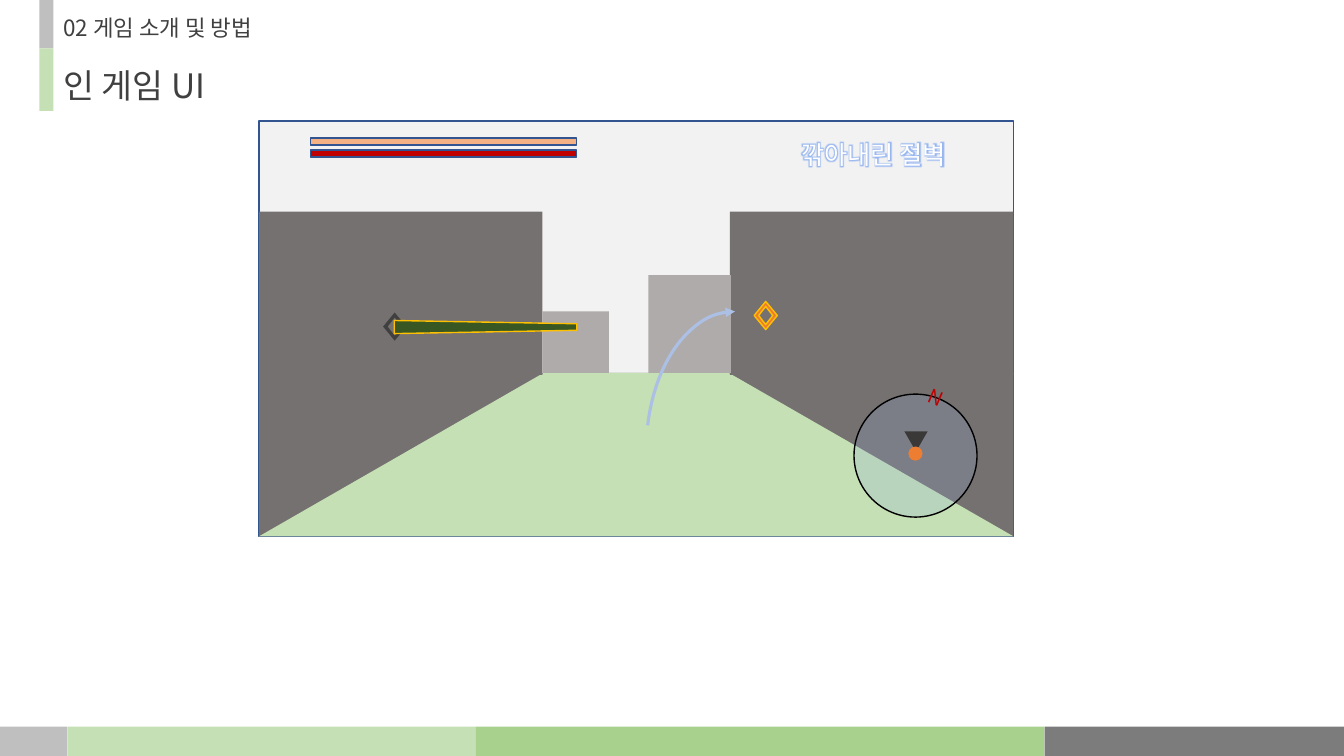
import pptx
import pptx.util
import pptx.dml.color
import pptx.enum.shapes
import pptx.enum.text
import pptx.oxml
import pptx.oxml.ns

Inches = pptx.util.Inches
Kind = pptx.enum.shapes.MSO_SHAPE
Align = pptx.enum.text.PP_ALIGN
FACE = "Noto Sans CJK KR"
NS = pptx.oxml.ns.nsdecls("a")


def paint(fill, tint):
    fill.solid()
    fill.fore_color.rgb = pptx.dml.color.RGBColor.from_string(tint)


def write(box, text, place, size, tint, align=Align.LEFT, side=0.1):
    spots = dict(zip(("left", "top", "width", "height"), map(Inches, place)))
    for key, val in spots.items():
        setattr(box, key, val)
    frame = box.text_frame
    look = {"word_wrap": True, "auto_size": pptx.enum.text.MSO_AUTO_SIZE.NONE,
            "vertical_anchor": pptx.enum.text.MSO_ANCHOR.TOP,
            "margin_left": Inches(side), "margin_right": Inches(side),
            "margin_top": Inches(0.05), "margin_bottom": Inches(0.05)}
    for key, val in look.items():
        setattr(frame, key, val)
    para = frame.paragraphs[0]
    para.alignment = align
    run = para.add_run()
    run.text = text
    for key, val in {"name": FACE, "size": pptx.util.Pt(size)}.items():
        setattr(run.font, key, val)
    paint(run.font.fill, tint)
    props = run.font._element
    props.append(pptx.oxml.parse_xml(f'<a:ea {NS} typeface="{FACE}"/>'))
    return props


deck = pptx.Presentation()
deck.slide_width, deck.slide_height = Inches(13.33), Inches(7.5)
slide = deck.slides.add_slide(deck.slide_layouts[5])
shapes = slide.shapes

# Headings
write(shapes.title, "인 게임 UI", (0.53, 0.59, 1.78, 0.5), 24, "404040")
head = shapes.add_textbox(0, 0, 0, 0)
write(head, "02 게임 소개 및 방법", (0.53, 0.09, 2.34, 0.37), 16, "404040")

# Side tabs and footer band: left, top, width, height, fill
bands = [(0.39, 0, 0.14, 0.48, "BFBFBF"), (0.39, 0.48, 0.14, 0.62, "C5E0B4")]
left = 0
for wide, tint in ((0.67, "BFBFBF"), (4.05, "C5E0B4"),
                   (5.64, "A9D18E"), (2.98, "7C7C7C")):
    bands.append((left, 7.21, wide, 0.3, tint))
    left += wide

# Game view, back to front: kind, left, top, width, height, fill, line
EDGE, GOLD = "325491", "FFC000"
RING = None
parts = [(Kind.RECTANGLE, *band, None) for band in bands] + [
    (Kind.RECTANGLE, 2.57, 1.2, 7.48, 4.12, "F2F2F2", EDGE),
    (Kind.RECTANGLE, 2.57, 3.7, 7.48, 1.62, "767171", None),
    (Kind.TRAPEZOID, 2.57, 3.7, 7.48, 1.62, "C5E0B4", None),
    (Kind.RECTANGLE, 3.08, 1.37, 2.64, 0.07, "F4B183", EDGE),
    (Kind.RECTANGLE, 3.08, 1.49, 2.64, 0.07, "C00000", EDGE),
    (Kind.RECTANGLE, 2.57, 2.1, 2.81, 1.62, "767171", None),
    (Kind.RECTANGLE, 7.24, 2.1, 2.81, 1.62, "767171", None),
    (Kind.RECTANGLE, 6.43, 2.73, 0.82, 0.97, "AFABAB", None),
    (Kind.RECTANGLE, 5.38, 3.09, 0.66, 0.61, "AFABAB", None),
    (RING, 7.48, 2.99, 0.23, 0.28, "ED7D31", GOLD),
    (Kind.ARC, 6.41, 3.09, 1.76, 2.75, None, "ABC0E4"),
    (RING, 3.8, 3.1, 0.23, 0.28, "404040", None),
    (Kind.TRAPEZOID, 4.75, 2.34, 0.13, 1.81, "385723", GOLD),
    (Kind.OVAL, 8.47, 3.91, 1.22, 1.22, "8FAADC", "000000"),
    (Kind.ISOSCELES_TRIANGLE, 8.97, 4.28, 0.23, 0.2, "3B3838", None),
    (Kind.OVAL, 9.01, 4.43, 0.14, 0.14, "ED7D31", None),
]
for kind, left, top, wide, high, tint, line in parts:
    if kind is RING:
        # Diamond with a diamond hole
        midx, midy = left + wide / 2, top + high / 2
        path = None
        for dx, dy in ((wide / 2, high / 2), (-0.07, 0.09)):
            pts = [(Inches(midx + x), Inches(midy + y))
                   for x, y in ((0, -dy), (dx, 0), (0, dy), (-dx, 0))]
            if path is None:
                path = shapes.build_freeform(*pts[0])
            else:
                path.move_to(*pts[0])
            path.add_line_segments(pts[1:], close=True)
        shape = path.convert_to_shape()
    else:
        shape = shapes.add_shape(kind, *map(Inches, (left, top, wide, high)))
    shape.shadow.inherit = False
    if tint:
        paint(shape.fill, tint)
    else:
        shape.fill.background()
    if line:
        paint(shape.line.fill, line)
        shape.line.width = pptx.util.Pt(2.25 if kind == Kind.ARC else 1)
    else:
        shape.line.fill.background()

    # Floor, beam, needle, arrow and glass dial
    if kind == Kind.TRAPEZOID and wide > high:
        shape.adjustments[0] = 1.741
    elif kind == Kind.TRAPEZOID:
        shape.rotation = 90
    elif kind == Kind.ISOSCELES_TRIANGLE:
        shape.rotation = 180
    elif kind == Kind.ARC:
        shape.adjustments[0], shape.adjustments[1] = 162, 206.49
        shape._element.spPr.xfrm.set("flipH", "1")
        shape.line._get_or_add_ln().append(
            pptx.oxml.parse_xml(f'<a:headEnd {NS} type="triangle"/>'))
    elif kind == Kind.OVAL and line:
        shade = shape._element.spPr.find(pptx.oxml.ns.qn("a:solidFill"))[0]
        shade.append(pptx.oxml.parse_xml(f'<a:alpha {NS} val="21000"/>'))

# Place name with a blue glow
name = shapes.add_textbox(0, 0, 0, 0)
props = write(name, "깎아내린 절벽", (7.85, 1.33, 1.84, 0.4), 18, "FFFFFF")
props.find(pptx.oxml.ns.qn("a:solidFill")).addnext(pptx.oxml.parse_xml(
    f'<a:effectLst {NS}><a:glow rad="63500"><a:srgbClr val="5B8FF0">'
    '<a:alpha val="60000"/></a:srgbClr></a:glow></a:effectLst>'))

# Compass north
north = shapes.add_textbox(0, 0, 0, 0)
write(north, "N", (9.14, 3.77, 0.29, 0.34), 14, "C00000", Align.CENTER, 0)
north.rotation = 23.6

deck.save("out.pptx")
